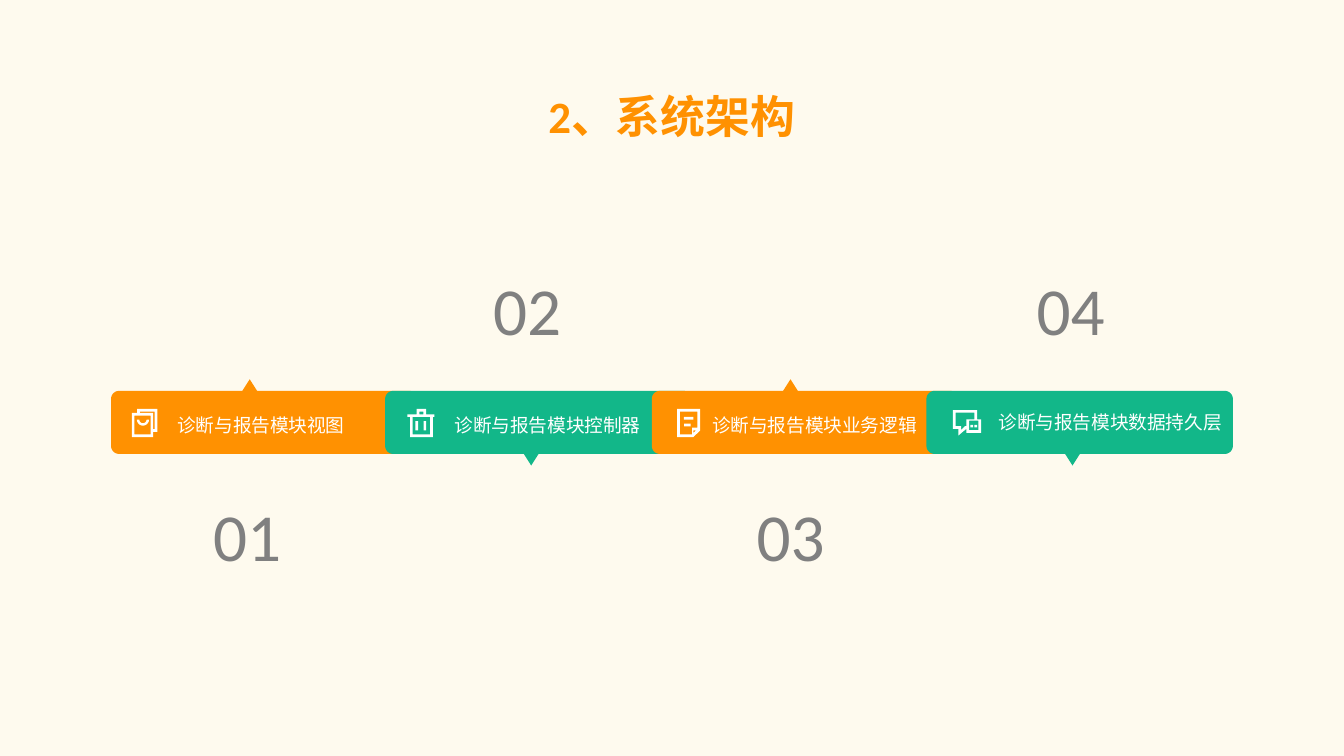
import math
from dataclasses import dataclass
from typing import Any

import pptx
import pptx.dml.color
import pptx.enum.shapes
import pptx.enum.text
import pptx.util

Cm = pptx.util.Cm
Point = tuple[float, float]
Contour = list[Point]


@dataclass(frozen=True)
class Theme:
    background: str = "FEFAEE"
    orange: str = "FF9101"
    green: str = "12B789"
    white: str = "FFFFFF"
    grey: str = "808080"
    font: str = "Calibri"
    title_size: int = 24
    number_size: int = 36
    label_size: int = 10


THEME = Theme()
RESOLUTION = 1000  # freeform steps per drawing unit
ICON_UNIT = Cm(2.54) / 100

BAR_TOP = 7.39
BAR_WIDTH = 5.79
BAR_HEIGHT = 1.19
CORNER = 0.15
TIP_HEIGHT = 0.22
TIP_HALF = 0.14
LABEL_PADDING = 0.51
CHARACTER_WIDTH = 0.36  # slightly over 10 pt, so that a label stays on one line


@dataclass(frozen=True)
class Icon:
    """Outlines (first contour outside, then holes) and bars as left, top, width, height."""
    outlines: list[list[Contour]]
    bars: list[tuple[float, float, float, float]]


@dataclass(frozen=True)
class Step:
    number: str
    label: str
    bar_left: float
    icon: Icon
    icon_left: float
    icon_top: float
    label_left: float
    label_top: float
    number_left: float
    tip_up: bool


def arc(x: float, y: float, radius: float, start: int, end: int) -> Contour:
    """Points on an arc; angles in degrees, clockwise from the right."""
    angles = [math.radians(start + (end - start) * i / 12) for i in range(13)]
    return [(x + radius * math.cos(a), y + radius * math.sin(a)) for a in angles]


BAG = Icon(
    [[[(19, 0), (4, 0), (4, 3), (0, 3), (0, 21), (16, 21), (16, 17), (19, 17)],
      [(14, 19), (2, 19), (2, 5), (14, 5)],
      [(17, 15), (16, 15), (16, 3), (6, 3), (6, 2), (17, 2)]],
     [arc(8.3, 8, 4.5, 0, 180) + arc(8.3, 8, 2.7, 180, 0)]],
    [])
BIN = Icon(
    [[[(20, 4), (14, 4), (14, 0), (7, 0), (7, 4), (0, 4), (0, 6), (2, 6),
       (2, 21), (19, 21), (19, 6), (20, 6)],
      [(9, 2), (12, 2), (12, 4), (9, 4)],
      [(17, 19), (4, 19), (4, 6), (17, 6)]]],
    [(6, 9, 2, 7), (12, 9, 2, 7)])
NOTE = Icon(
    [[[(0, 0), (0, 21), (12, 21), (17, 16), (17, 0)],
      [(2, 2), (15, 2), (15, 14), (11, 14), (11, 19), (2, 19)],
      [(14, 16), (12, 18), (12, 16)]]],
    [(5, 6, 7, 2), (5, 11, 5, 2)])
CHAT = Icon(
    [[[(18, 7), (18, 0), (0, 0), (0, 14), (4, 14), (4, 19), (10, 14), (10, 17),
       (21, 17), (21, 7)],
      [(9, 12), (6, 15), (6, 12), (2, 12), (2, 2), (16, 2), (16, 7), (10, 7), (10, 12)],
      [(19, 15), (12, 15), (12, 8), (19, 8)]]],
    [(13, 11, 2, 2), (16, 11, 2, 2)])

STEPS = [
    Step("01", "诊断与报告模块视图", 2.1, BAG, 2.49, 7.73, 3.1, 7.7, 3.78, True),
    Step("02", "诊断与报告模块控制器", 7.28, BIN, 7.7, 7.73, 8.34, 7.7, 9.07, False),
    Step("03", "诊断与报告模块业务逻辑", 12.32, NOTE, 12.8, 7.73, 13.21, 7.7, 14.05, True),
    Step("04", "诊断与报告模块数据持久层", 17.51, CHAT, 18.01, 7.75, 18.62, 7.65, 19.34, False),
]


def rgb(color: str) -> pptx.dml.color.RGBColor:
    return pptx.dml.color.RGBColor.from_string(color)


def paint(shape: Any, color: str) -> None:
    shape.shadow.inherit = False
    shape.fill.solid()
    shape.fill.fore_color.rgb = rgb(color)
    shape.line.fill.background()


def draw_outline(shapes: Any, contours: list[Contour], left: float, top: float,
                 unit: float, color: str) -> None:
    """Draw contours measured in units from the point left, top (cm)."""
    scaled = [[(x * RESOLUTION, y * RESOLUTION) for x, y in contour] for contour in contours]
    builder = shapes.build_freeform(*scaled[0][0], scale=unit / RESOLUTION)
    builder.add_line_segments(scaled[0][1:], close=True)
    for hole in scaled[1:]:
        builder.move_to(*hole[0])
        builder.add_line_segments(hole[1:], close=True)
    paint(builder.convert_to_shape(Cm(left), Cm(top)), color)


def draw_bar(slide: Any, step: Step) -> None:
    right, bottom = BAR_WIDTH - CORNER, BAR_HEIGHT - CORNER
    tip = 2.62 if step.tip_up else 2.76
    upper = [(tip - TIP_HALF, 0), (tip, -TIP_HEIGHT), (tip + TIP_HALF, 0)]
    lower = [(tip + TIP_HALF, BAR_HEIGHT), (tip, BAR_HEIGHT + TIP_HEIGHT),
             (tip - TIP_HALF, BAR_HEIGHT)]
    contour = (arc(CORNER, CORNER, CORNER, 180, 270)
               + (upper if step.tip_up else [])
               + arc(right, CORNER, CORNER, 270, 360)
               + arc(right, bottom, CORNER, 0, 90)
               + ([] if step.tip_up else lower)
               + arc(CORNER, bottom, CORNER, 90, 180))
    color = THEME.orange if step.tip_up else THEME.green
    draw_outline(slide.shapes, [contour], step.bar_left, BAR_TOP, Cm(1), color)


def draw_icon(slide: Any, step: Step) -> None:
    group = slide.shapes.add_group_shape()
    for contours in step.icon.outlines:
        draw_outline(group.shapes, contours, step.icon_left, step.icon_top,
                     ICON_UNIT, THEME.white)
    for left, top, width, height in step.icon.bars:
        bar = group.shapes.add_shape(
            pptx.enum.shapes.MSO_SHAPE.RECTANGLE,
            int(Cm(step.icon_left) + left * ICON_UNIT),
            int(Cm(step.icon_top) + top * ICON_UNIT),
            int(width * ICON_UNIT), int(height * ICON_UNIT))
        paint(bar, THEME.white)


def add_text(slide: Any, text: str, box: tuple[float, float, float, float], size: int,
             color: str, bold: bool = False, centred: bool = False, wrap: bool = False) -> None:
    frame = slide.shapes.add_textbox(*map(Cm, box)).text_frame
    frame.word_wrap = wrap
    frame.auto_size = pptx.enum.text.MSO_AUTO_SIZE.SHAPE_TO_FIT_TEXT
    paragraph = frame.paragraphs[0]
    if centred:
        paragraph.alignment = pptx.enum.text.PP_ALIGN.CENTER
    run = paragraph.add_run()
    run.text = text
    formats = {"name": THEME.font, "size": pptx.util.Pt(size), "bold": bold}
    for name, value in formats.items():
        setattr(run.font, name, value)
    run.font.color.rgb = rgb(color)


def main() -> None:
    presentation = pptx.Presentation()
    presentation.slide_width, presentation.slide_height = Cm(25.4), Cm(14.29)
    slide = presentation.slides.add_slide(presentation.slide_layouts[6])
    slide.background.fill.solid()
    slide.background.fill.fore_color.rgb = rgb(THEME.background)

    for step in STEPS:
        draw_bar(slide, step)
    for step in STEPS:
        draw_icon(slide, step)
        label_width = LABEL_PADDING + CHARACTER_WIDTH * len(step.label)
        add_text(slide, step.label, (step.label_left, step.label_top, label_width, 0.68),
                 THEME.label_size, THEME.white)
        number_top = 9.22 if step.tip_up else 4.95
        add_text(slide, step.number, (step.number_left, number_top, 1.8, 1.8),
                 THEME.number_size, THEME.grey)
    add_text(slide, "2、系统架构", (10.08, 1.55, 5.23, 1.27), THEME.title_size,
             THEME.orange, bold=True, centred=True, wrap=True)
    presentation.save("out.pptx")


if __name__ == "__main__":
    main()
